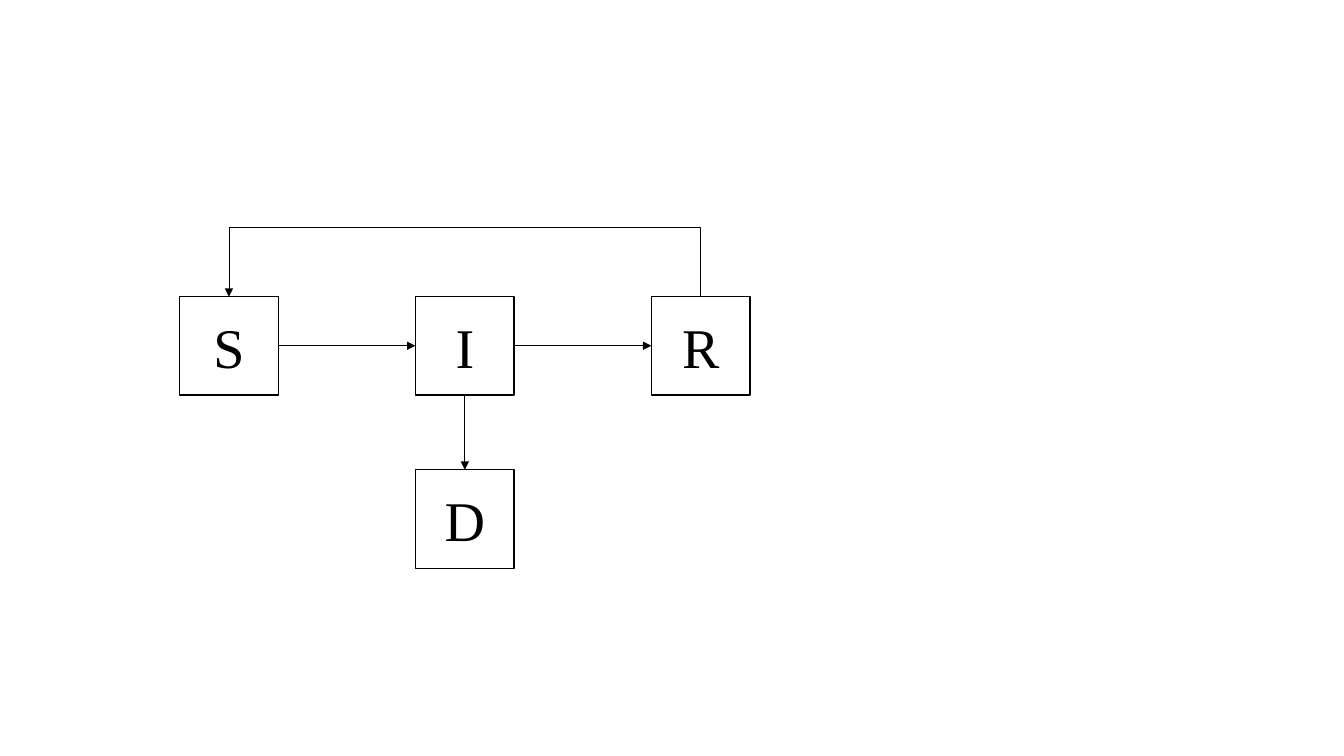
from pptx import Presentation
from pptx.dml.color import RGBColor
from pptx.enum.shapes import MSO_CONNECTOR, MSO_SHAPE
from pptx.enum.text import MSO_ANCHOR, PP_ALIGN
from pptx.oxml.ns import qn
from pptx.util import Inches, Pt
from lxml import etree

RECTANGLE = MSO_SHAPE.RECTANGLE
STRAIGHT, ELBOW = MSO_CONNECTOR.STRAIGHT, MSO_CONNECTOR.ELBOW
MIDDLE, CENTER = MSO_ANCHOR.MIDDLE, PP_ALIGN.CENTER
COLORS = {"ink": "000000"}
FONT = "Times New Roman"
SIDE = 0.98
COLUMN_STEP = 2.34
ROW_STEP = 1.72
LOOP_RISE = 0.7
LOOP_DEPTH = 0.01


def ink():
    """Return the colour of lines and letters."""
    return RGBColor.from_string(COLORS["ink"])


def add_state(page, letter, left, top):
    """Draw one compartment as a square with its letter."""
    box = page.shapes.add_shape(
        RECTANGLE, Inches(left), Inches(top), Inches(SIDE), Inches(SIDE))
    box.shadow.inherit = False
    box.fill.background()
    box.line.color.rgb = ink()
    box.line.width = Pt(1)
    box.text_frame.vertical_anchor = MIDDLE
    para = box.text_frame.paragraphs[0]
    para.text = letter
    para.alignment = CENTER
    para.font.name = FONT
    para.font.size = Pt(40)
    para.font.color.rgb = ink()


def add_arrow(page, kind, start, end, arrow_end="tailEnd"):
    """Draw a thin connector with a triangle at one end."""
    arrow = page.shapes.add_connector(
        kind, *(Inches(length) for length in (*start, *end)))
    arrow.line.color.rgb = ink()
    arrow.line.width = Pt(0.5)
    line = arrow.line._get_or_add_ln()
    etree.SubElement(line, qn("a:" + arrow_end), type="triangle")
    etree.SubElement(arrow._element.spPr, qn("a:effectLst"))
    return arrow


def add_return_loop(page, left, right, top):
    """Draw the bent arrow that runs above the row, back to its first state."""
    middle, reach = (left + right) / 2, (right - left) / 2
    loop = add_arrow(
        page, ELBOW, (middle + LOOP_DEPTH / 2, top + reach),
        (middle - LOOP_DEPTH / 2, top - reach), "headEnd")
    loop.rotation = 90
    properties = loop._element.spPr
    properties.find(qn("a:xfrm")).set("rot", "5400000")
    geometry = properties.find(qn("a:prstGeom"))
    adjustments = geometry.find(qn("a:avLst"))
    if adjustments is None:
        adjustments = etree.SubElement(geometry, qn("a:avLst"))
    bend = round(LOOP_RISE / LOOP_DEPTH * 100000)
    etree.SubElement(adjustments, qn("a:gd"), name="adj1", fmla=f"val {bend}")


def add_model(page, left, top):
    """Draw the S, I, R row, the D state below I and their arrows."""
    half = SIDE / 2
    columns = [left + COLUMN_STEP * index for index in range(3)]
    for letter, column in zip("SIR", columns):
        add_state(page, letter, column, top)
    add_state(page, "D", columns[1], top + ROW_STEP)
    for column, following in zip(columns, columns[1:]):
        add_arrow(page, STRAIGHT, (column + SIDE, top + half),
                  (following, top + half))
    center = columns[1] + half
    add_arrow(page, STRAIGHT, (center, top + SIDE), (center, top + ROW_STEP))
    add_return_loop(page, columns[0] + half, columns[2] + half, top)


def main():
    """Build and save the deck."""
    deck = Presentation()
    deck.slide_width, deck.slide_height = Inches(13.33), Inches(7.5)
    page = deck.slides.add_slide(deck.slide_layouts[6])
    add_model(page, 1.78, 2.94)
    deck.save("out.pptx")


if __name__ == "__main__":
    main()
